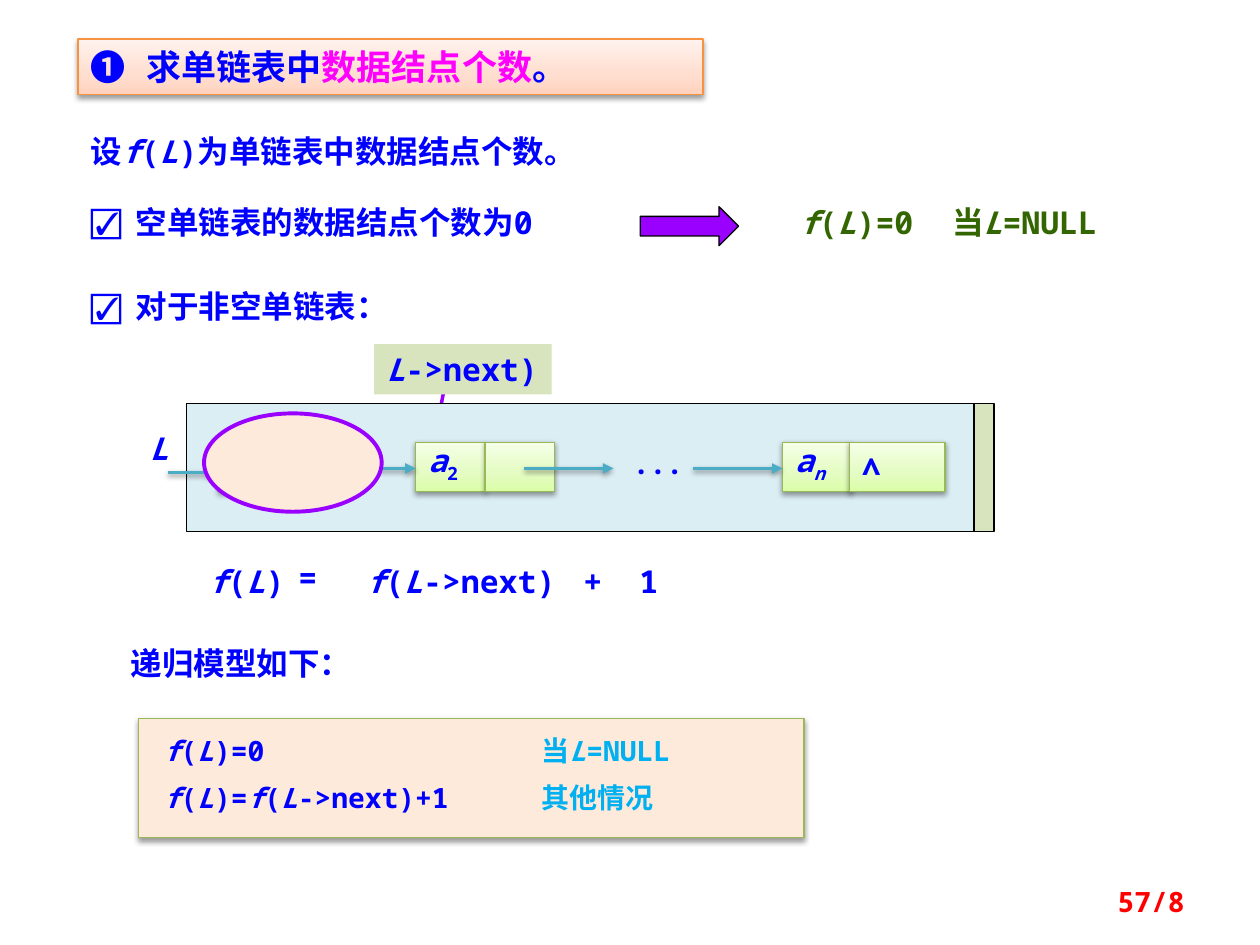
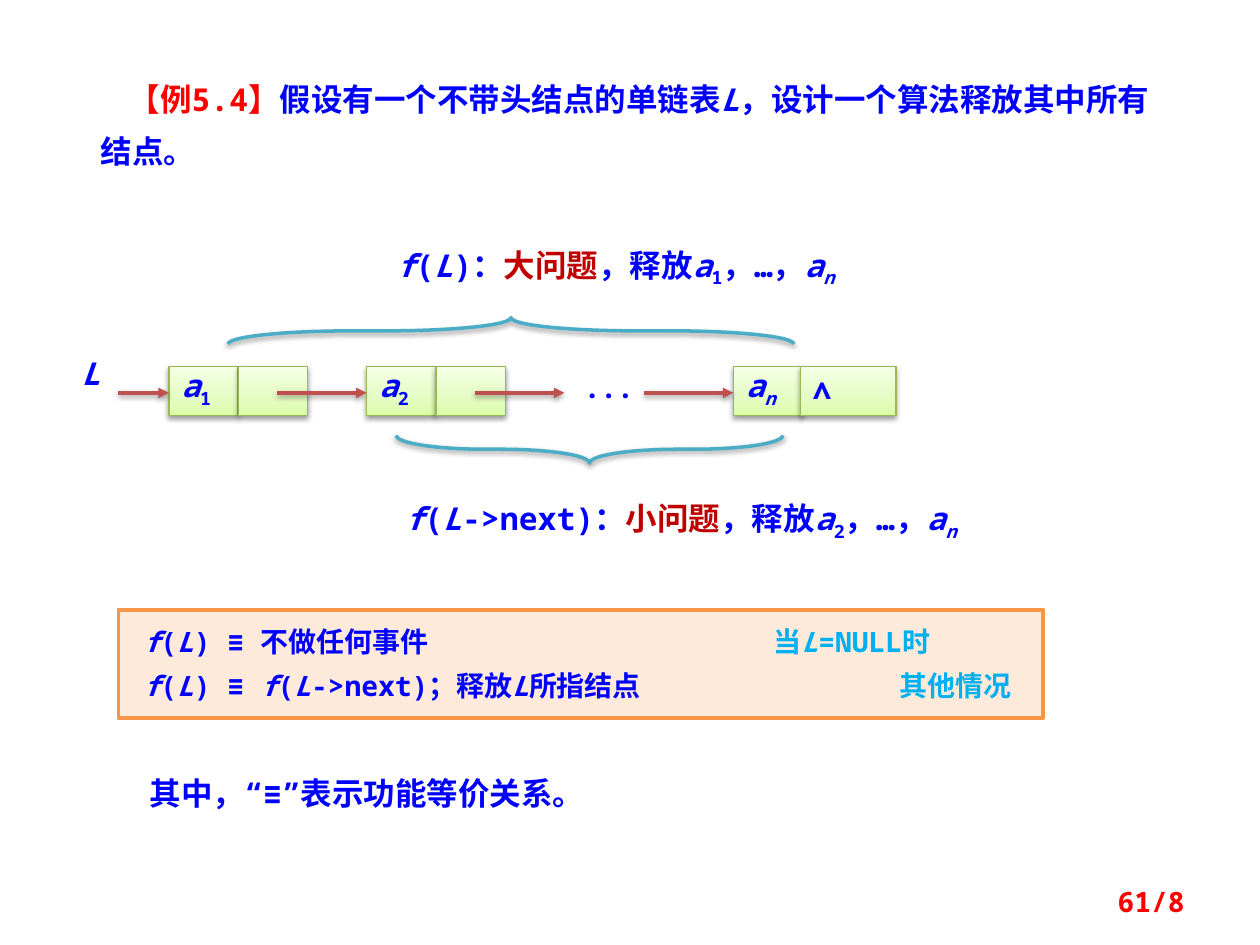
from lxml import etree
from pptx import Presentation
from pptx.dml.color import RGBColor
from pptx.enum.shapes import MSO_CONNECTOR, MSO_SHAPE
from pptx.enum.text import MSO_ANCHOR, PP_ALIGN
from pptx.oxml.ns import qn
from pptx.util import Pt

RECT, ELLIPSE = MSO_SHAPE.RECTANGLE, MSO_SHAPE.OVAL
BLOCK_ARROW, BRACE = MSO_SHAPE.RIGHT_ARROW, MSO_SHAPE.LEFT_BRACE
STRAIGHT = MSO_CONNECTOR.STRAIGHT
TOP, MIDDLE = MSO_ANCHOR.TOP, MSO_ANCHOR.MIDDLE
LEFT, RIGHT = PP_ALIGN.LEFT, PP_ALIGN.RIGHT

# Shared look
MONO, CJK = "Noto Sans Mono", "Noto Sans CJK JP"
COLORS = {
    "blue": "0000FF", "magenta": "FF00FF", "red": "FF0000", "crimson": "C00000",
    "green": "336600", "sky": "00B0F0", "purple": "9900FF", "black": "000000",
    "white": "FFFFFF", "sage": "D7E4BD", "ice": "DBEEF4", "peach": "FDEADA",
    "teal": "4BACC6", "brick": "C0504D", "leaf": "98B955", "orange": "F79646",
    "title edge": "F69240",
}
GRADIENTS = {
    "node": ((0, "DAFDA7"), (35, "E4FCC2"), (100, "F5FFE7")),
    "title": ((0, "FFD2BD"), (35, "FFDED0"), (100, "FFF2ED")),
}
LINE_H = 28.8   # height of a one-line text box

# Content: *italic*, ~subscript~, |colour| switches the text colour
TITLE = "❶ 求单链表中|magenta|数据结点个数|blue|。"
DEFINITION = "设*f*(*L*)为单链表中数据结点个数。"
EMPTY_CASE = "空单链表的数据结点个数为0"
EMPTY_RESULT = "*f*(*L*)=0\t当*L*=NULL"
OTHER_CASE = "对于非空单链表："
EQUATION = [  # text, left, top, width, tab stops
    ("*f*(*L*)", 112.3, 317.5, 62, ()),
    ("*f*(*L*->next)", 202.3, 317.5, 135.4, ()),
    ("=", 163.4, 315.4, 39.6, ()),
    ("+\t1", 326.2, 317.5, 62, (32,)),
]
MODEL_HEADING = "递归模型如下："
COUNT_MODEL = ["*f*(*L*)=0\t|sky|当*L*=NULL",
               "*f*(*L*)=*f*(*L*->next)+1\t|sky|其他情况"]
EXAMPLE = ("|red|【例5.4】|blue|假设有一个不带头结点的单链表*L*，"
           "设计一个算法释放其中所有结点。")
PROBLEMS = [  # text, left, top, width
    ("*f*(*L*)：|crimson|大问题|blue|，释放*a*~1~，…，*a~n~*", 219.6, 136.8, 292.3),
    ("*f*(*L*->next)：|crimson|小问题|blue|，释放*a*~2~，…，*a~n~*", 224.6, 281.5, 360),
]
BRACES = [  # left, top, width, height, rotation, curve
    (284.4, 27.4, 15.1, 323.3, 90, 4.683),
    (329, 146.2, 15.8, 221, 270, 3.205),
]
RELEASE_MODEL = ["*f*(*L*) ≡ 不做任何事件\t|sky|当*L*=NULL时",
                 "*f*(*L*) ≡ *f*(*L*->next)；释放*L*所指结点\t|sky|其他情况"]
NOTE = "其中，“≡”表示功能等价关系。"


def rgb(name):
    return RGBColor.from_string(COLORS[name])


def child(parent, tag, **attributes):
    return etree.SubElement(parent, qn(tag), {k: str(v) for k, v in attributes.items()})


def markup_runs(markup, color):
    """Yield text, colour, italic and subscript for each piece."""
    for i, part in enumerate(markup.split("|")):
        if i % 2:
            color = part
            continue
        for j, piece in enumerate(part.split("*")):
            for k, text in enumerate(piece.split("~")):
                if text:
                    yield text, color, j % 2 == 1, k % 2 == 1


def write(shape, text, size=18, color="blue", align=LEFT, anchor=TOP, wrap=True,
          margins=None, spacing=None, before=0, tabs=(), bullet=None, indent=0):
    frame = shape.text_frame
    frame.word_wrap, frame.vertical_anchor = wrap, anchor
    if margins:
        (frame.margin_left, frame.margin_top, frame.margin_right,
         frame.margin_bottom) = map(Pt, margins)
    lines = [text] if isinstance(text, str) else text
    for n, line in enumerate(lines):
        paragraph = frame.add_paragraph() if n else frame.paragraphs[0]
        paragraph.alignment = align
        if spacing:
            paragraph.line_spacing = Pt(spacing)
        if n and before:
            paragraph.space_before = Pt(before)
        properties = paragraph._p.get_or_add_pPr()
        if bullet:
            properties.set("marL", str(Pt(indent)))
            properties.set("indent", str(-Pt(indent)))
            child(properties, "a:buFont", typeface=MONO)
            child(properties, "a:buChar", char=bullet)
        elif indent:
            properties.set("indent", str(Pt(indent)))
        if tabs:
            child(child(properties, "a:tabLst"), "a:tab", pos=Pt(tabs[n]), algn="l")
        for piece, tint, italic, subscript in markup_runs(line, color):
            run = paragraph.add_run()
            run.text = piece
            font = run.font
            font.size, font.bold, font.italic = Pt(size), True, italic
            font.color.rgb = rgb(tint)
            font.name = CJK if tint == "crimson" else MONO
            run_properties = run._r.get_or_add_rPr()
            child(run_properties, "a:ea", typeface=MONO)
            if subscript:
                run_properties.set("baseline", "-25000")


def add_effects(properties, shadow):
    """Replace the theme shadow by a soft drop shadow or by none."""
    effects = child(properties, "a:effectLst")
    if shadow:
        drop = child(effects, "a:outerShdw", blurRad=Pt(3.1), dist=Pt(1.6),
                     dir=90 * 60000, rotWithShape=0)
        child(child(drop, "a:srgbClr", val=COLORS["black"]), "a:alpha", val=38000)


def add_box(slide, at, fill=None, line=None, width=0.75, kind=RECT, shadow=False):
    shape = slide.shapes.add_shape(kind, *map(Pt, at))
    if fill in GRADIENTS:
        shape.fill.gradient()
        shape.fill.gradient_angle = 90
        stops = shape._element.spPr.find(qn("a:gradFill")).find(qn("a:gsLst"))
        stops.clear()
        for percent, tint in GRADIENTS[fill]:
            child(child(stops, "a:gs", pos=percent * 1000), "a:srgbClr", val=tint)
    elif fill:
        shape.fill.solid()
        shape.fill.fore_color.rgb = rgb(fill)
    else:
        shape.fill.background()
    if line:
        shape.line.color.rgb, shape.line.width = rgb(line), Pt(width)
    else:
        shape.line.fill.background()
    add_effects(shape._element.spPr, shadow)
    return shape


def add_text(slide, text, left, top, width, height=LINE_H, **style):
    write(slide.shapes.add_textbox(*map(Pt, (left, top, width, height))), text, **style)


def add_arrow(slide, start, end, color, head="triangle", shadow=True):
    arrow = slide.shapes.add_connector(STRAIGHT, *map(Pt, (*start, *end)))
    arrow.line.color.rgb, arrow.line.width = rgb(color), Pt(2)
    child(arrow.line._get_or_add_ln(), "a:tailEnd", type=head)
    add_effects(arrow._element.spPr, shadow)


def add_linked_list(slide, left, top, first, color, head_drop, head_gap):
    """Draw L -> first -> a2 -> ... -> an, with left/top of the first node."""
    cell, height, step, last, reach = 39.6, 28.1, 113, 322.6, 51
    cells = [(0, cell, first), (cell, cell, ""),
             (step, cell, "*a*~2~"), (step + cell, cell, ""),
             (last, cell, "*a~n~*"), (last + 38.2, 54.7, "∧")]
    for offset, width, label in cells:
        node = add_box(slide, (left + offset, top, width, height), "node", "leaf",
                       shadow=True)
        if label:
            write(node, label, anchor=MIDDLE, wrap=False, spacing=20)
    for tip in (step, 2 * step, last):
        add_arrow(slide, (left + tip - reach, top + 15), (left + tip, top + 15), color)
    add_arrow(slide, (left - 28.8, top + head_drop), (left, top + head_drop), color)
    add_text(slide, "...", left + 230, top - 1, 57, 26.6, size=16)
    add_text(slide, "*L*", left - head_gap, top - 11, 39.6)


def new_slide(deck, page):
    slide = deck.slides.add_slide(deck.slide_layouts[6])
    add_text(slide, page, 516.2, 500.4, 167.8, size=16, color="red",
             align=RIGHT, anchor=MIDDLE)
    return slide


def build_count_slide(deck):
    slide = new_slide(deck, "57/8")

    # Sublist and whole-list frames
    add_box(slide, (213.8, 230.4, 354.2, 73.4), "sage", "black")
    add_arrow(slide, (253.4, 224.6), (247.7, 253.4), "purple", "arrow", shadow=False)
    write(add_box(slide, (213.8, 196.6, 101.5, LINE_H), "sage"), "*L*->next)")
    add_box(slide, (106.6, 230.4, 450, 73.4), "ice", "black")

    # Title and cases
    title = add_box(slide, (44.6, 22.3, 357.1, 31.7), "title", "title edge", shadow=True)
    write(title, TITLE, size=20)
    add_text(slide, DEFINITION, 44.6, 72, 422)
    for case, top in ((EMPTY_CASE, 112.3), (OTHER_CASE, 160.6)):
        add_text(slide, case, 44.6, top, 326.2, bullet="☑", indent=26)
    add_box(slide, (365.8, 118.1, 56.2, 22.3), "purple", "black", kind=BLOCK_ARROW)
    add_text(slide, EMPTY_RESULT, 450, 112.3, 219.6, color="green", tabs=(87,))

    # Linked list with its first node covered
    add_linked_list(slide, 124.6, 252.7, "", "teal", head_drop=17.3, head_gap=46.1)
    add_box(slide, (116.6, 236.2, 101.5, 56.2), "peach", "purple", 2.25, ELLIPSE)
    for text, left, top, width, tabs in EQUATION:
        add_text(slide, text, left, top, width, tabs=tabs)

    # Recursive model
    add_text(slide, MODEL_HEADING, 67.7, 364.3, 205.2)
    model = add_box(slide, (79.2, 410.4, 380.2, 68.4), "peach", "leaf", shadow=True)
    write(model, COUNT_MODEL, size=16, margins=(14.4, 8.6, 7.2, 11.5), before=8,
          tabs=(216, 216))


def build_release_slide(deck):
    slide = new_slide(deck, "61/8")
    add_text(slide, EXAMPLE, 50.4, 33.8, 613.4, 64.8, spacing=30, indent=16)

    # Linked list with the large and the small problem
    add_linked_list(slide, 96.5, 209.5, "*a*~1~", "brick", head_drop=15, head_gap=56.9)
    for *at, rotation, curve in BRACES:
        brace = add_box(slide, at, line="teal", width=2, kind=BRACE, shadow=True)
        brace.rotation = rotation
        brace.adjustments[0] = curve
    for text, left, top, width in PROBLEMS:
        write(add_box(slide, (left, top, width, LINE_H), "white"), text)

    # Recursive model
    model = add_box(slide, (67.7, 348.5, 528.5, 61.9), "peach", "orange", 2)
    write(model, RELEASE_MODEL, size=16, margins=(14.4, 8.6, 7.2, 8.6), before=6,
          tabs=(360, 432))
    add_text(slide, NOTE, 78.5, 438.5, 320.4)


def main():
    deck = Presentation()
    deck.slide_width, deck.slide_height = Pt(720), Pt(540)
    build_count_slide(deck)
    build_release_slide(deck)
    deck.save("out.pptx")


if __name__ == "__main__":
    main()
